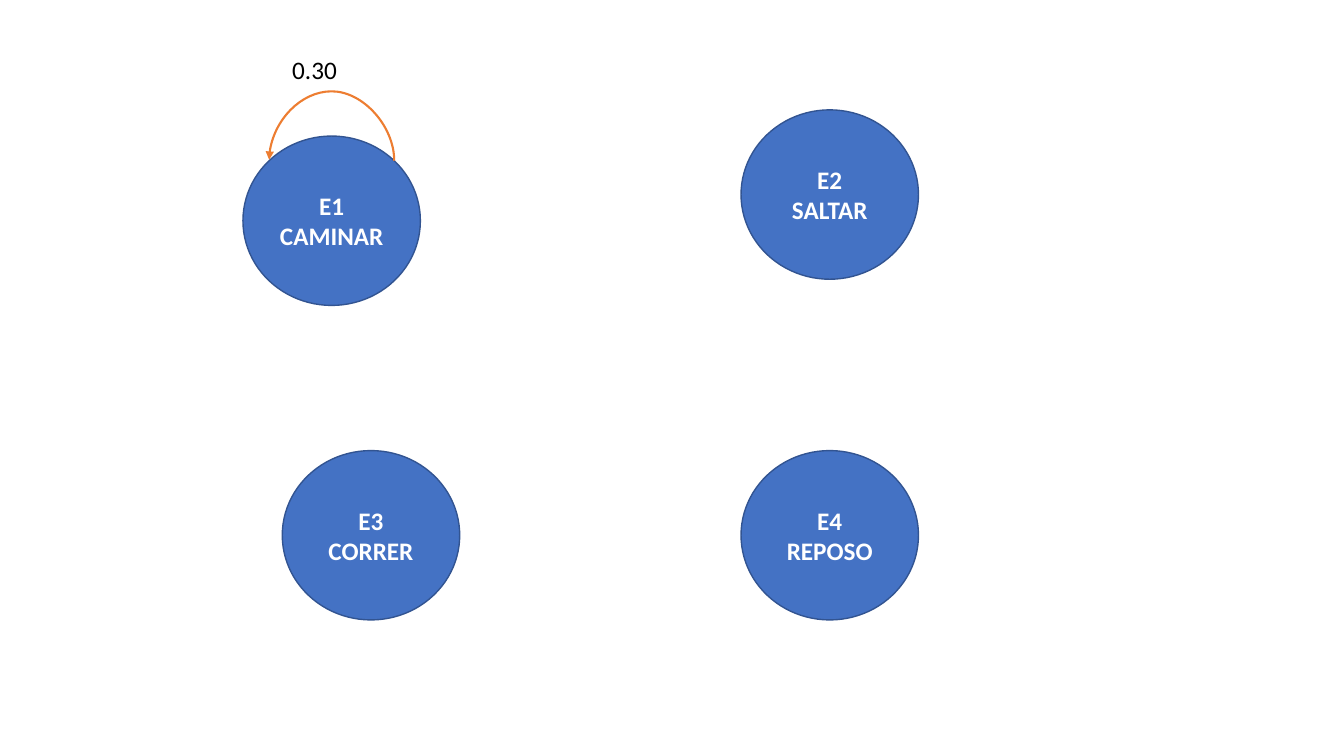
from pptx import Presentation
from pptx import util as u
from pptx.dml.color import RGBColor
from pptx.enum import shapes, text
from pptx.oxml import ns
from lxml import etree

COLORS = {"state": "4472C4", "outline": "325491", "loop": "ED7D31",
          "light": "FFFFFF", "dark": "000000"}
STATE_FONT = {"name": "Calibri", "size": u.Pt(18), "bold": True}
LABEL_FONT = {"name": "Calibri", "size": u.Pt(18), "bold": False}
STATE_WIDTH, STATE_HEIGHT = 1.76, 1.68
STATES = [
    ("E1", "CAMINAR", 2.41, 1.35),
    ("E4", "REPOSO", 7.35, 4.47),
    ("E3", "CORRER", 2.8, 4.47),
    ("E2", "SALTAR", 7.35, 1.09),
]


def color(name):
    return RGBColor.from_string(COLORS[name])


def write_line(paragraph, words, font_values, color_name):
    run = paragraph.add_run()
    run.text = words
    for attribute, value in font_values.items():
        setattr(run.font, attribute, value)
    run.font.color.rgb = color(color_name)


def add_state(slide, code, action, left, top):
    """A circle with the state's code above its action."""
    box = [u.Inches(value) for value in (left, top, STATE_WIDTH, STATE_HEIGHT)]
    shape = slide.shapes.add_shape(shapes.MSO_SHAPE.OVAL, *box)
    shape.shadow.inherit = False
    shape.fill.solid()
    shape.fill.fore_color.rgb = color("state")
    shape.line.color.rgb = color("outline")
    shape.line.width = u.Pt(1)
    frame = shape.text_frame
    frame.vertical_anchor = text.MSO_ANCHOR.MIDDLE
    for paragraph, words in ((frame.paragraphs[0], code), (frame.add_paragraph(), action)):
        paragraph.alignment = text.PP_ALIGN.CENTER
        write_line(paragraph, words, STATE_FONT, "light")


def add_self_loop(slide, probability, left, top):
    """A curved arrow over the state at left, top, with its probability."""
    # The connector is laid out upright, then turned a quarter to the left
    span, offset, rise = 1.24, 0.01, 0.7
    middle_x, middle_y = left + STATE_WIDTH / 2, top + 0.24
    connector = slide.shapes.add_connector(
        shapes.MSO_CONNECTOR.CURVE,
        u.Inches(middle_x - offset / 2), u.Inches(middle_y + span / 2),
        u.Inches(middle_x + offset / 2), u.Inches(middle_y - span / 2))
    connector.line.color.rgb = color("loop")
    connector.line.width = u.Pt(1.5)
    properties = connector._element.spPr
    properties.find(ns.qn("a:xfrm")).set("rot", str(270 * 60000))
    bend = properties.find(ns.qn("a:prstGeom")).get_or_add_avLst()
    etree.SubElement(bend, ns.qn("a:gd"), name="adj1",
                     fmla=f"val {round(rise / offset * 100000)}")
    etree.SubElement(properties.find(ns.qn("a:ln")), ns.qn("a:tailEnd"), type="triangle")
    etree.SubElement(properties, ns.qn("a:effectLst"))

    # Probability label
    label = slide.shapes.add_textbox(u.Inches(left + 0.39), u.Inches(top - 0.86),
                                     u.Inches(0.74), u.Inches(0.4))
    label.text_frame.word_wrap = True
    write_line(label.text_frame.paragraphs[0], probability, LABEL_FONT, "dark")


def build_state_diagram(slide):
    for state in STATES:
        add_state(slide, *state)
    _, _, left, top = STATES[0]
    add_self_loop(slide, "0.30", left, top)


presentation = Presentation()
presentation.slide_width = u.Inches(13.33)
presentation.slide_height = u.Inches(7.5)
build_state_diagram(presentation.slides.add_slide(presentation.slide_layouts[6]))
presentation.save("out.pptx")
